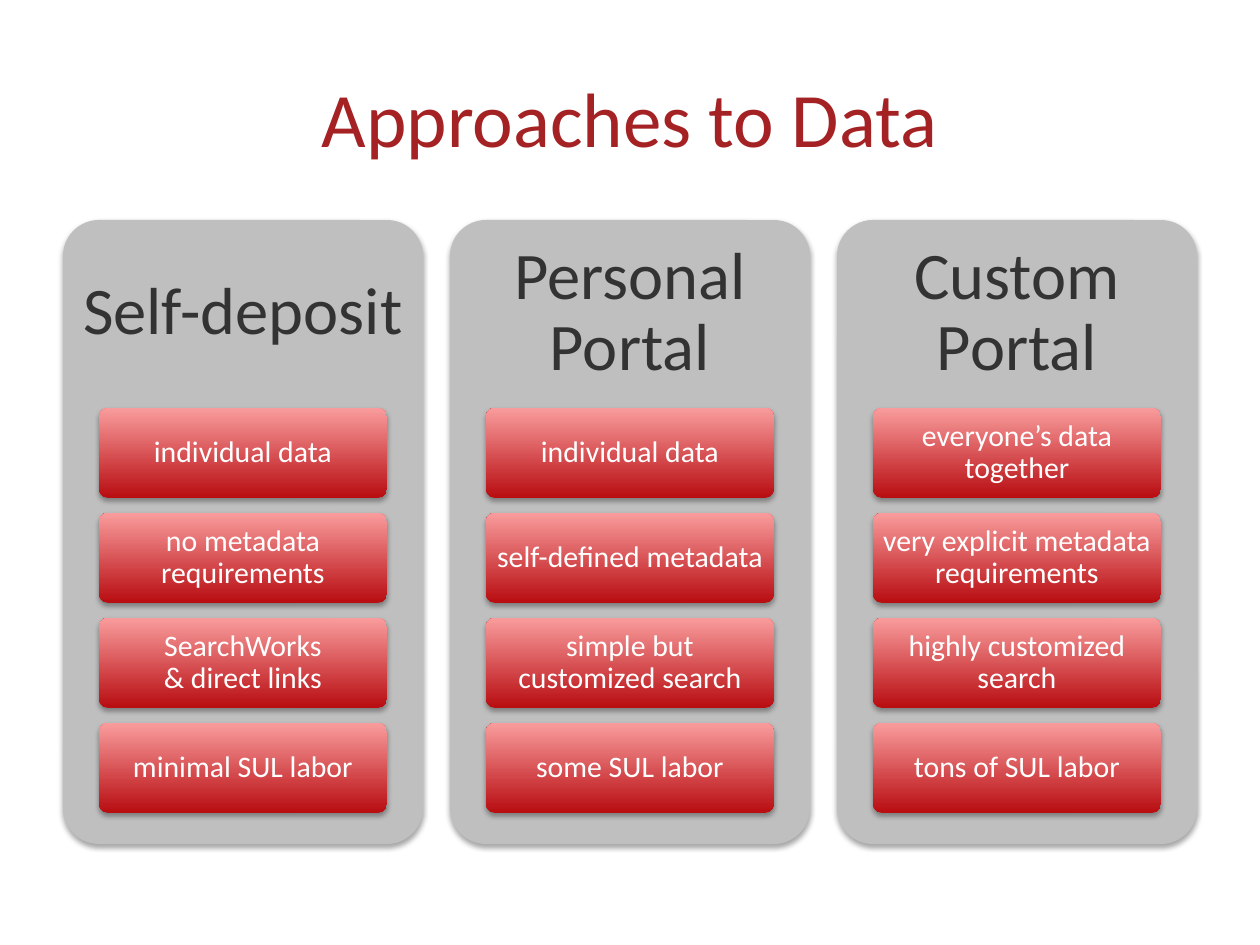
from dataclasses import dataclass

from lxml.etree import SubElement
from pptx import Presentation
from pptx.dml.color import RGBColor
from pptx.enum.shapes import MSO_SHAPE
from pptx.enum.text import MSO_ANCHOR, PP_ALIGN
from pptx.oxml.ns import qn
from pptx.util import Emu, Pt


@dataclass(frozen=True)
class Theme:
    """Colours and type sizes of the slide."""
    font: str = "Calibri"
    title: str = "A42124"
    panel: str = "BFBFBF"
    heading: str = "333333"
    card_bottom: str = "B80D11"
    card_top: str = "F99C9D"
    card_text: str = "FFFFFF"
    shadow: str = "000000"
    title_size: int = 44
    heading_size: int = 38
    card_size: int = 17


THEME = Theme()
PIXELS_PER_INCH = 126
COLUMN_LEFT, COLUMN_STEP = 63, 387
PANEL_TOP, PANEL_WIDTH, PANEL_HEIGHT = 220, 360, 624
CARD_INDENT, CARD_TOP, CARD_STEP = 36, 408, 105
CARD_WIDTH, CARD_HEIGHT = 288, 90
PANEL_MARGINS = (9, 9, 9, 446)
CARD_MARGINS = (6, 5, 6, 5)
TITLE_MARGINS = (12, 6, 12, 6)

COLUMNS = {
    "Self-deposit": (
        "individual data",
        "no metadata requirements",
        "SearchWorks\v& direct links",
        "minimal SUL labor",
    ),
    "Personal Portal": (
        "individual data",
        "self-defined metadata",
        "simple but customized search",
        "some SUL labor",
    ),
    "Custom Portal": (
        "everyone’s data together",
        "very explicit metadata requirements",
        "highly customized search",
        "tons of SUL labor",
    ),
}


def px(length):
    """Turn whole pixels into EMU."""
    return Emu(round(length * 914400 / PIXELS_PER_INCH))


def set_attributes(target, values):
    """Set each named attribute on the target."""
    for name, value in values.items():
        setattr(target, name, value)


def write_text(shape, text, size, color, margins, line_spacing):
    """Write one centred paragraph into the shape."""
    frame = shape.text_frame
    left, top, right, bottom = map(px, margins)
    set_attributes(frame, {
        "word_wrap": True, "vertical_anchor": MSO_ANCHOR.MIDDLE,
        "margin_left": left, "margin_top": top,
        "margin_right": right, "margin_bottom": bottom,
    })
    paragraph = frame.paragraphs[0]
    paragraph.text = text
    set_attributes(paragraph, {"alignment": PP_ALIGN.CENTER, "line_spacing": line_spacing})
    for run in paragraph.runs:
        set_attributes(run.font, {"name": THEME.font, "size": Pt(size)})
        run.font.color.rgb = RGBColor.from_string(color)


def add_shadow(shape):
    """Give the shape a soft shadow just below it."""
    shape.shadow.inherit = False
    effects = shape.element.spPr.find(qn("a:effectLst"))
    shadow = SubElement(effects, qn("a:outerShdw"), blurRad=str(Pt(3.1)),
                        dist=str(Pt(1.8)), dir="5400000", rotWithShape="0")
    color = SubElement(shadow, qn("a:srgbClr"), val=THEME.shadow)
    SubElement(color, qn("a:alpha"), val="35000")


def add_rounded_box(slide, left, top, width, height):
    """Add a borderless rounded box with a shadow."""
    shape = slide.shapes.add_shape(
        MSO_SHAPE.ROUNDED_RECTANGLE, *map(px, (left, top, width, height)))
    shape.adjustments[0] = 0.1
    shape.line.fill.background()
    add_shadow(shape)
    return shape


def add_title(slide, text):
    """Add the slide title."""
    shape = slide.shapes.add_textbox(*map(px, (63, 38, 1134, 157)))
    write_text(shape, text, THEME.title_size, THEME.title, TITLE_MARGINS, 1.0)


def add_panel(slide, left, heading):
    """Add a column panel with its heading."""
    shape = add_rounded_box(slide, left, PANEL_TOP, PANEL_WIDTH, PANEL_HEIGHT)
    shape.fill.solid()
    shape.fill.fore_color.rgb = RGBColor.from_string(THEME.panel)
    write_text(shape, heading, THEME.heading_size, THEME.heading, PANEL_MARGINS, 0.9)


def add_card(slide, left, top, text):
    """Add a card shaded from its bottom to its top."""
    shape = add_rounded_box(slide, left, top, CARD_WIDTH, CARD_HEIGHT)
    shape.fill.gradient()
    shape.fill.gradient_angle = 90
    for stop, color in zip(shape.fill.gradient_stops, (THEME.card_bottom, THEME.card_top)):
        stop.color.rgb = RGBColor.from_string(color)
    write_text(shape, text, THEME.card_size, THEME.card_text, CARD_MARGINS, 0.9)


def main():
    """Build and save the slide."""
    presentation = Presentation()
    set_attributes(presentation, {"slide_width": px(1260), "slide_height": px(945)})
    slide = presentation.slides.add_slide(presentation.slide_layouts[6])
    add_title(slide, "Approaches to Data")
    for column, (heading, cards) in enumerate(COLUMNS.items()):
        left = COLUMN_LEFT + column * COLUMN_STEP
        add_panel(slide, left, heading)
        for row, text in enumerate(cards):
            add_card(slide, left + CARD_INDENT, CARD_TOP + row * CARD_STEP, text)
    presentation.save("out.pptx")


if __name__ == "__main__":
    main()
